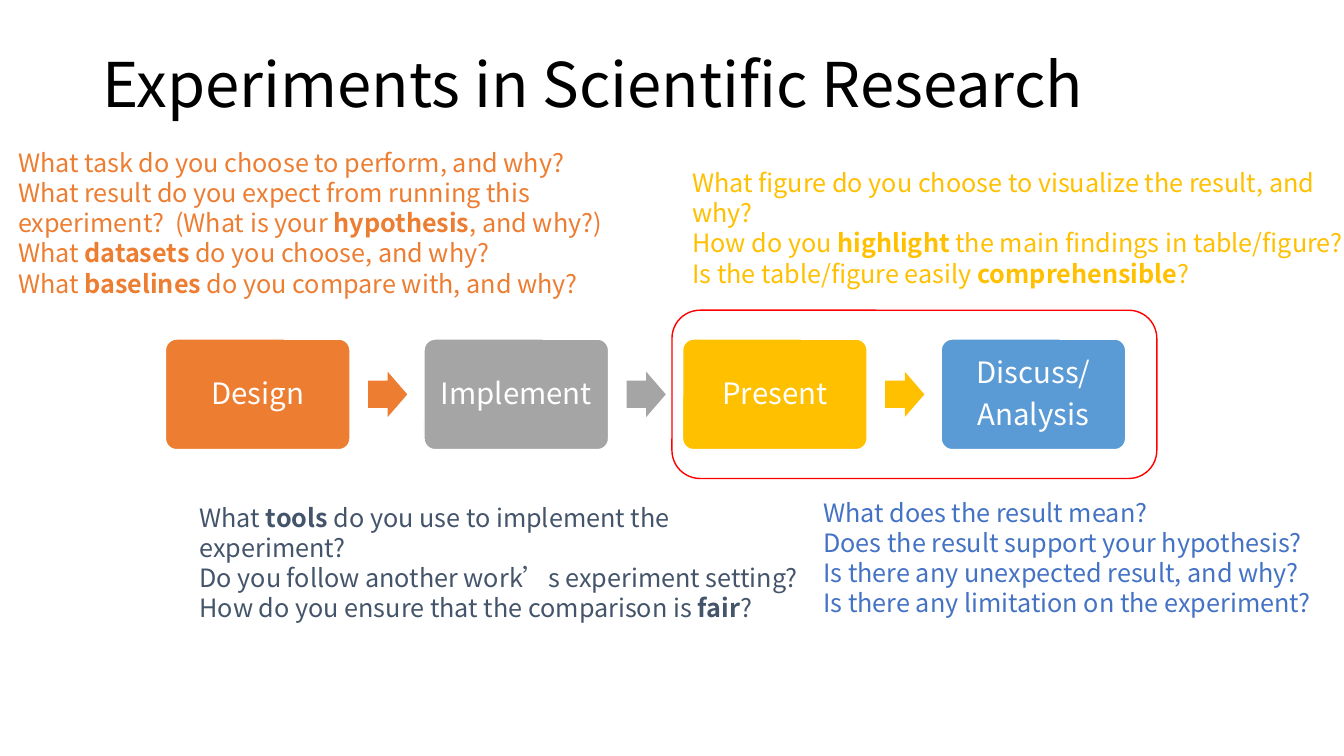
from pptx import Presentation
from pptx.dml.color import RGBColor
from pptx.enum.shapes import MSO_SHAPE as Shape
from pptx.enum.text import MSO_ANCHOR as Anchor, PP_ALIGN as Align
from pptx.util import Pt

FONT = "Noto Sans CJK SC"
BLACK = RGBColor(0x00, 0x00, 0x00)
WHITE = RGBColor(0xFF, 0xFF, 0xFF)
ORANGE = RGBColor(0xED, 0x7D, 0x31)
GRAY = RGBColor(0xA5, 0xA5, 0xA5)
GOLD = RGBColor(0xFF, 0xC0, 0x00)
SKY = RGBColor(0x5B, 0x9B, 0xD5)
SLATE = RGBColor(0x44, 0x54, 0x6A)
BLUE = RGBColor(0x44, 0x72, 0xC4)
RED = RGBColor(0xFF, 0x00, 0x00)

STEPS = [
    ("Design", ORANGE),
    ("Implement", GRAY),
    ("Present", GOLD),
    ("Discuss/\nAnalysis", SKY),
]
STEP_LEFT, STEP_TOP, STEP_W, STEP_H = 118.2, 242.2, 131.8, 79
STEP_PITCH = 184.7
ARROW_OFFSET, ARROW_W, ARROW_H = 144.7, 28, 32.4

# Left, top, width, height, colour, lines; *stars* mark bold words.
QUESTIONS = [
    (5.8, 101.5, 481.7, 138.2, ORANGE, [
        "What task do you choose to perform, and why?",
        "What result do you expect from running this experiment?  "
        "(What is your *hypothesis*, and why?)",
        "What *datasets* do you choose, and why?",
        "What *baselines* do you compare with, and why?",
    ]),
    (135.4, 355, 445.7, 72.7, SLATE, [
        "What *tools* do you use to implement the experiment?",
        "Do you follow another work’s experiment setting?",
        "How do you ensure that the comparison is *fair*?",
    ]),
    (581, 351.4, 378.7, 94.3, BLUE, [
        "What does the result mean?",
        "Does the result support your hypothesis?",
        "Is there any unexpected result, and why?",
        "Is there any limitation on the experiment?",
    ]),
    (487.4, 115.9, 483.8, 72.7, GOLD, [
        "What figure do you choose to visualize the result, and why?",
        "How do you *highlight* the main findings in table/figure?",
        "Is the table/figure easily *comprehensible*?",
    ]),
]


def style(p, size, color, spacing):
    p.font.name = FONT
    p.font.size = Pt(size)
    p.font.color.rgb = color
    p.line_spacing = spacing


def add_lines(tf, lines, size, color, spacing):
    """Write one paragraph per line, with *starred* words in bold."""
    for i, line in enumerate(lines):
        p = tf.add_paragraph() if i else tf.paragraphs[0]
        style(p, size, color, spacing)
        for j, part in enumerate(line.split("*")):
            r = p.add_run()
            r.text = part
            if j % 2:
                r.font.bold = True


def add_title(s, text):
    title = s.shapes.title
    title.left, title.top, title.width, title.height = Pt(66), Pt(10), Pt(828), Pt(104.4)
    tf = title.text_frame
    tf.text = text
    tf.vertical_anchor = Anchor.MIDDLE
    p = tf.paragraphs[0]
    p.alignment = Align.LEFT
    style(p, 44, BLACK, 0.9)


def add_shape(s, kind, left, top, width, height, fill=None, line=None):
    sp = s.shapes.add_shape(kind, Pt(left), Pt(top), Pt(width), Pt(height))
    sp.shadow.inherit = False
    if fill is None:
        sp.fill.background()
    else:
        sp.fill.solid()
        sp.fill.fore_color.rgb = fill
    if line is None:
        sp.line.fill.background()
    else:
        sp.line.color.rgb = line
        sp.line.width = Pt(1)
    return sp


def add_step(s, left, label, color):
    sp = add_shape(s, Shape.ROUNDED_RECTANGLE, left, STEP_TOP, STEP_W, STEP_H, color, WHITE)
    sp.adjustments[0] = 0.1
    tf = sp.text_frame
    tf.vertical_anchor = Anchor.MIDDLE
    tf.margin_left = tf.margin_right = tf.margin_top = tf.margin_bottom = Pt(8.5)
    add_lines(tf, label.split("\n"), 21, WHITE, Pt(22.7))
    for p in tf.paragraphs:
        p.alignment = Align.CENTER
        p.space_after = Pt(7.35)


def add_step_arrow(s, left, color):
    top = STEP_TOP + (STEP_H - ARROW_H) / 2
    sp = add_shape(s, Shape.RIGHT_ARROW, left, top, ARROW_W, ARROW_H, color)
    sp.adjustments[0] = 0.6
    sp.adjustments[1] = 0.5


def add_questions(s, left, top, width, height, color, lines):
    tf = s.shapes.add_textbox(Pt(left), Pt(top), Pt(width), Pt(height)).text_frame
    tf.word_wrap = True
    add_lines(tf, lines, 18, color, Pt(21.6))


def main():
    prs = Presentation()
    prs.slide_width, prs.slide_height = Pt(960), Pt(540)
    s = prs.slides.add_slide(prs.slide_layouts.get_by_name("Title Only"))
    add_title(s, "Experiments in Scientific Research")
    for i, (label, color) in enumerate(STEPS):
        left = STEP_LEFT + i * STEP_PITCH
        add_step(s, left, label, color)
        if i < len(STEPS) - 1:
            add_step_arrow(s, left + ARROW_OFFSET, color)
    for block in QUESTIONS:
        add_questions(s, *block)
    add_shape(s, Shape.ROUNDED_RECTANGLE, 480, 221.6, 346.3, 120.2, line=RED)
    prs.save("out.pptx")


if __name__ == "__main__":
    main()
